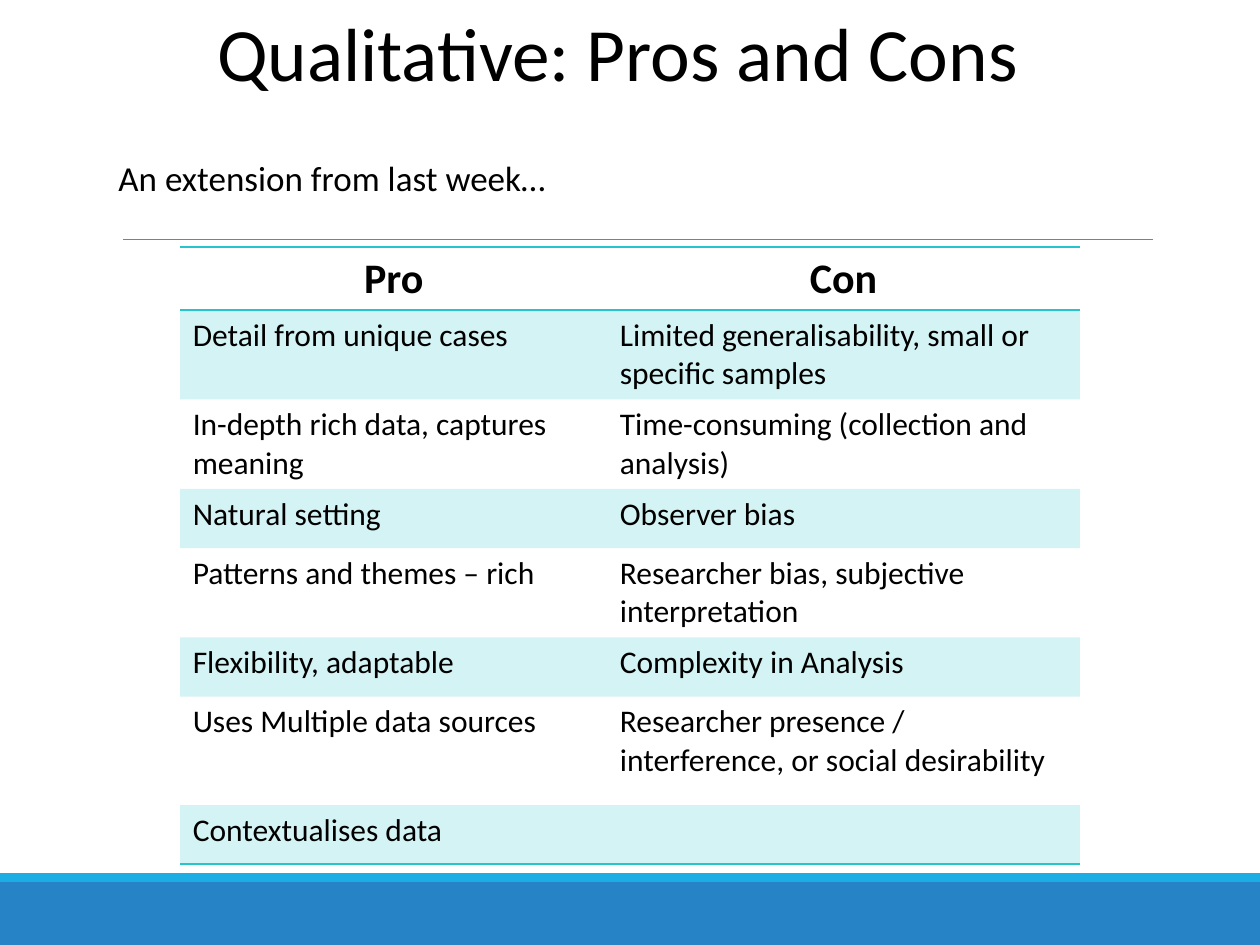
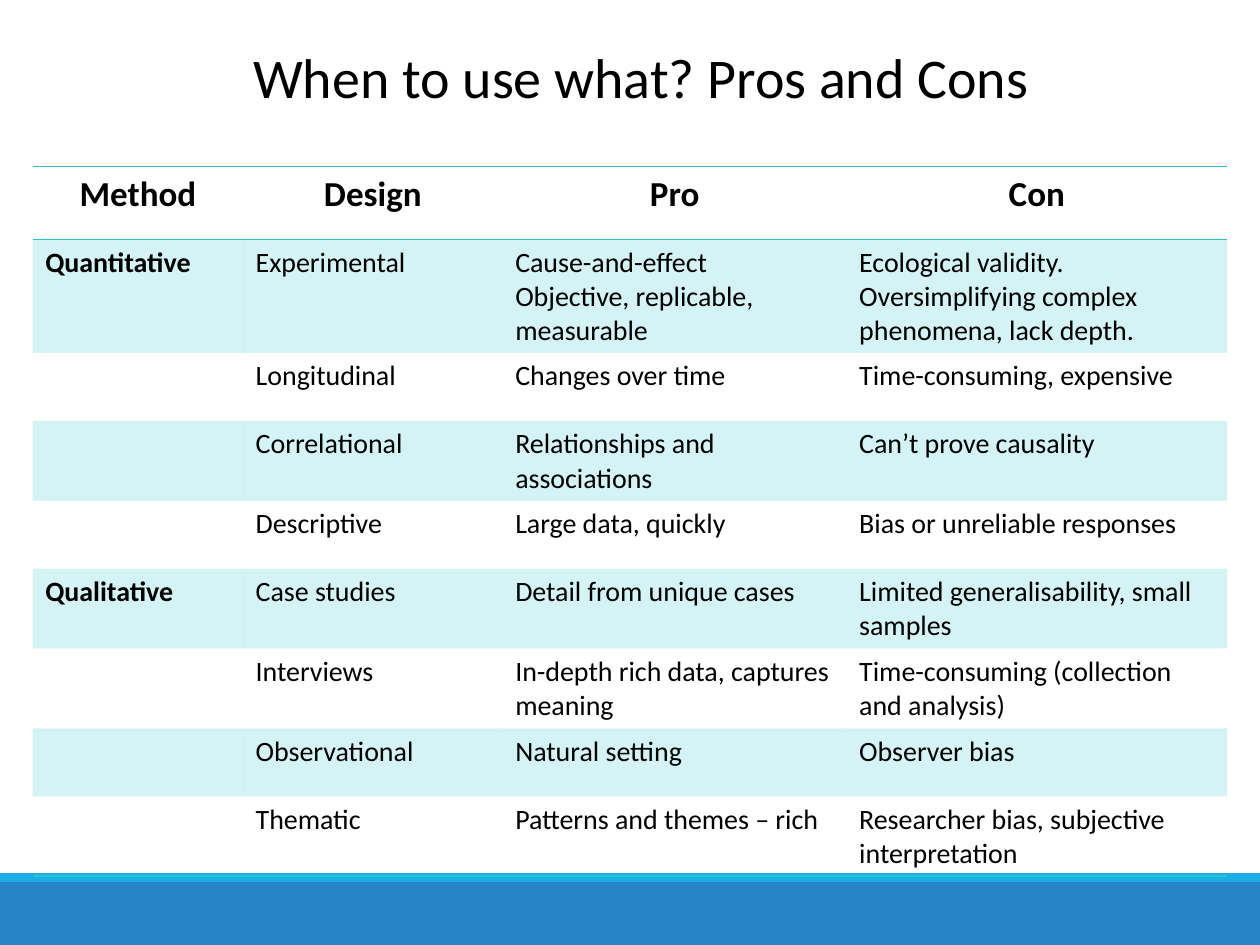
"""Build two slides that weigh research methods by their pros and cons."""
from lxml.etree import SubElement
from pptx import Presentation
from pptx.dml.color import RGBColor
from pptx.enum.shapes import MSO_CONNECTOR, MSO_SHAPE
from pptx.enum.text import MSO_ANCHOR, PP_ALIGN
from pptx.oxml.ns import qn
from pptx.util import Pt

PX = 9144
FONT = "Calibri"
COLOURS = {
    "text": "000000",
    "band": "2683C6",
    "band_edge": "1CADE4",
    "divider": "808080",
    "teal": "28C4CC",
}
PLAIN_TABLE = "{2D5ABB26-0587-4C30-8999-92F81FD0307C}"

QUALITATIVE = [
    ("Pro", "Con"),
    ("Detail from unique cases", "Limited generalisability, small or specific samples"),
    ("In-depth rich data, captures meaning", "Time-consuming (collection and analysis)"),
    ("Natural setting", "Observer bias"),
    ("Patterns and themes – rich", "Researcher bias, subjective interpretation"),
    ("Flexibility, adaptable", "Complexity in Analysis"),
    ("Uses Multiple data sources",
     "Researcher presence / interference, or social desirability"),
    ("Contextualises data", ""),
]
METHODS = [
    ("Method", "Design", "Pro", "Con"),
    ("Quantitative", "Experimental",
     "Cause-and-effect\nObjective, replicable, measurable",
     "Ecological validity. Oversimplifying complex phenomena, lack depth."),
    ("", "Longitudinal", "Changes over time", "Time-consuming, expensive"),
    ("", "Correlational", "Relationships and associations", "Can’t prove causality"),
    ("", "Descriptive", "Large data, quickly", "Bias or unreliable responses"),
    ("Qualitative", "Case studies", "Detail from unique cases",
     "Limited generalisability, small samples"),
    ("", "Interviews", "In-depth rich data, captures meaning",
     "Time-consuming (collection and analysis)"),
    ("", "Observational", "Natural setting", "Observer bias"),
    ("", "Thematic", "Patterns and themes – rich",
     "Researcher bias, subjective interpretation"),
]


def colour(name):
    return RGBColor.from_string(COLOURS[name])


class Deck:
    """Hold the presentation style and the current slide."""

    def __init__(self, width, height):
        self.presentation = Presentation()
        self.presentation.slide_width = width * PX
        self.presentation.slide_height = height * PX
        self.slide = None

    def start_slide(self, title, left, top, size):
        self.slide = self.presentation.slides.add_slide(
            self.presentation.slide_layouts[6])
        self.band(700, 50, "band")
        self.band(693, 7, "band_edge")
        self.divider(98, 915, 190)
        self.text(title, left, top, 854, 77, size, side_inset=0, spacing=0.9)

    def band(self, top, height, fill):
        band = self.slide.shapes.add_shape(
            MSO_SHAPE.RECTANGLE, 0, top * PX, self.presentation.slide_width, height * PX)
        band.shadow.inherit = False
        band.fill.solid()
        band.fill.fore_color.rgb = colour(fill)
        band.line.fill.background()

    def divider(self, left, right, y):
        divider = self.slide.shapes.add_connector(
            MSO_CONNECTOR.STRAIGHT, left * PX, y * PX, right * PX, y * PX)
        divider.line.color.rgb = colour("divider")
        divider.line.width = Pt(0.5)
        SubElement(divider._element.spPr, qn("a:effectLst"))

    def text(self, words, left, top, width, height, size, side_inset=10, spacing=1.0):
        frame = self.slide.shapes.add_textbox(
            left * PX, top * PX, width * PX, height * PX).text_frame
        frame.word_wrap = True
        frame.vertical_anchor = MSO_ANCHOR.TOP
        frame.margin_left = frame.margin_right = side_inset * PX
        frame.text = words
        frame.paragraphs[0].line_spacing = spacing
        self.format_text(frame, size, centred=True)

    def format_text(self, frame, size, bold=False, centred=False):
        for paragraph in frame.paragraphs:
            paragraph.alignment = PP_ALIGN.CENTER if centred else PP_ALIGN.LEFT
            for run in paragraph.runs:
                run.font.name = FONT
                run.font.size = Pt(size)
                run.font.bold = bold
                run.font.color.rgb = colour("text")

    def table(self, rows, left, top, widths, heights, header_size, body_size,
              bold_first_column=False):
        table = self.slide.shapes.add_table(
            len(rows), len(widths), left * PX, top * PX,
            sum(widths) * PX, sum(heights) * PX).table
        table.first_row = table.horz_banding = False
        table._tbl.tblPr.find(qn("a:tableStyleId")).text = PLAIN_TABLE
        for column, width in zip(table.columns, widths):
            column.width = width * PX
        for row, height in zip(table.rows, heights):
            row.height = height * PX
        for r, row in enumerate(rows):
            header = r == 0
            for c, words in enumerate(row):
                cell = table.cell(r, c)
                cell.text_frame.text = words
                self.format_text(
                    cell.text_frame, header_size if header else body_size,
                    bold=header or (bold_first_column and c == 0), centred=header)
                self.shade(cell, tinted=r % 2 == 1)
                if header or r == len(rows) - 1:
                    self.border(cell, "a:lnB")
                if header:
                    self.border(cell, "a:lnT")

    def shade(self, cell, tinted):
        if not tinted:
            cell.fill.background()
            return
        cell.fill.solid()
        cell.fill.fore_color.rgb = colour("teal")
        tint = cell._tc.tcPr.find(qn("a:solidFill"))[0]
        SubElement(tint, qn("a:alpha"), val="20000")

    def border(self, cell, side):
        properties = cell._tc.get_or_add_tcPr()
        edge = SubElement(properties, qn(side), w=str(Pt(1)))
        fill = SubElement(edge, qn("a:solidFill"))
        SubElement(fill, qn("a:srgbClr"), val=COLOURS["teal"])
        properties.insert(0, edge)


def main():
    deck = Deck(1000, 750)

    deck.start_slide("Qualitative: Pros and Cons", 63, 8, 43)
    deck.table(QUALITATIVE, 143, 196, [339, 375],
               [50, 71, 71, 47, 71, 47, 86, 47], 24, 18)
    deck.text("An extension from last week…", -61, 119, 649, 44, 20)

    deck.start_slide("When to use what? Pros and Cons", 82, 35, 32)
    deck.table(METHODS, 26, 132, [167, 206, 273, 302],
               [58] + [54] * 8, 20, 16, bold_first_column=True)

    deck.presentation.save("out.pptx")


if __name__ == "__main__":
    main()
